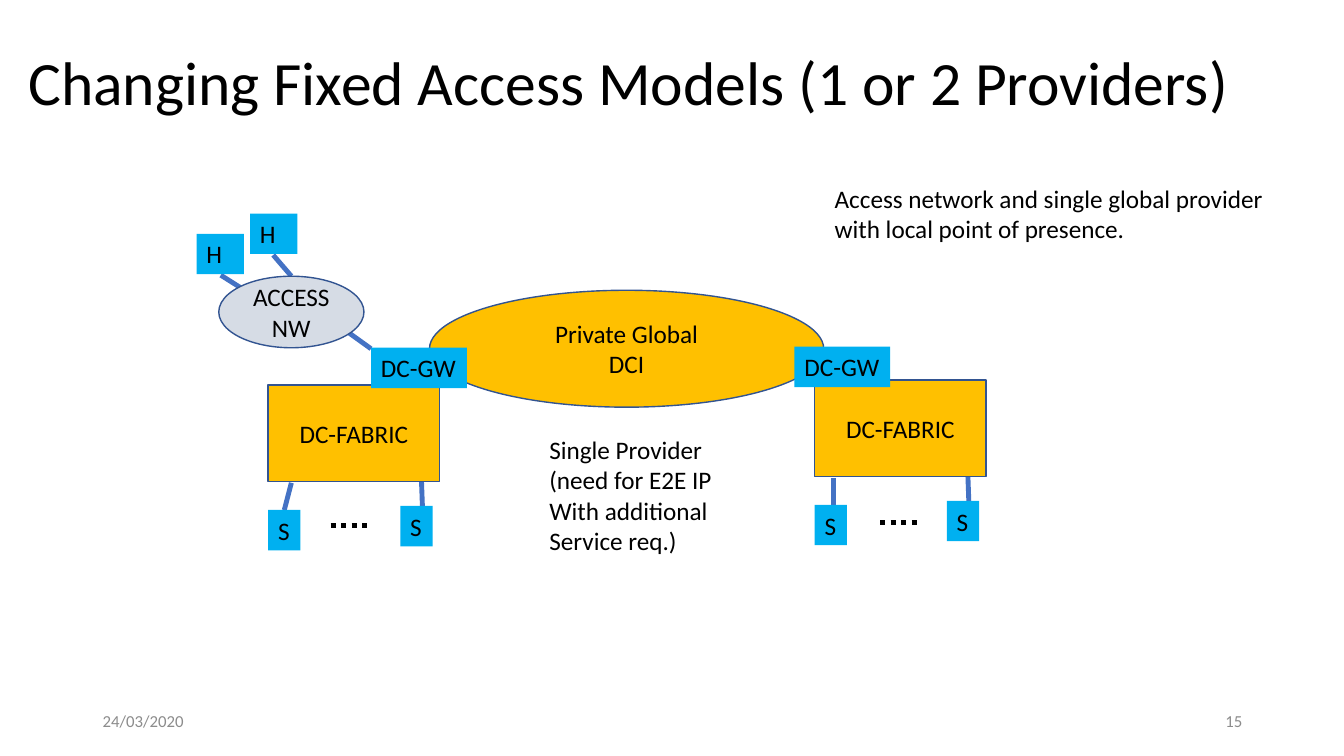
"""Build the slide on fixed access models with one or two providers."""
from dataclasses import dataclass

import lxml.etree
import pptx
import pptx.dml.color
import pptx.enum.dml
import pptx.enum.shapes
import pptx.enum.text
import pptx.oxml.ns
import pptx.util

Inches = pptx.util.Inches
RECTANGLE = pptx.enum.shapes.MSO_SHAPE.RECTANGLE
OVAL = pptx.enum.shapes.MSO_SHAPE.OVAL
LEFT = pptx.enum.text.PP_ALIGN.LEFT
CENTER = pptx.enum.text.PP_ALIGN.CENTER
RIGHT = pptx.enum.text.PP_ALIGN.RIGHT
TOP = pptx.enum.text.MSO_ANCHOR.TOP
MIDDLE = pptx.enum.text.MSO_ANCHOR.MIDDLE


@dataclass(frozen=True)
class Theme:
    font: str = "Calibri"
    ink: str = "000000"
    muted: str = "8C8C8C"
    link: str = "4472C4"
    outline: str = "325491"
    provider: str = "FFC000"
    endpoint: str = "00B0F0"
    access: str = "D6DCE5"
    title_size: float = 44
    body_size: float = 18
    footer_size: float = 12
    outline_width: float = 1
    link_width: float = 3.5
    dots_width: float = 3.75


@dataclass(frozen=True)
class Network:
    label: str
    box: tuple[float, float, float, float]
    fill: str
    geometry: pptx.enum.shapes.MSO_SHAPE = OVAL


@dataclass(frozen=True)
class Endpoint:
    label: str
    left: float
    top: float
    width: float
    wrap: bool = False


@dataclass(frozen=True)
class Link:
    start: tuple[float, float]
    end: tuple[float, float]


@dataclass(frozen=True)
class Note:
    text: str
    box: tuple[float, float, float, float]
    align: pptx.enum.text.PP_ALIGN = LEFT
    footer: bool = False


@dataclass(frozen=True)
class Site:
    left: float
    top: float
    gateway: tuple[float, float]
    server_links: tuple[Link, Link]
    dots: Link


THEME = Theme()
FABRIC_WIDTH, FABRIC_HEIGHT = 1.7, 0.96
ENDPOINT_HEIGHT = 0.4
SERVER_OFFSETS = ((0, 1.24), (1.31, 1.2))

SITES = (
    Site(2.66, 3.82, (3.68, 3.45),
         (Link((2.82, 5.06), (2.89, 4.79)), Link((4.19, 5.03), (4.18, 4.76))),
         Link((3.28, 5.21), (3.68, 5.21))),
    Site(8.08, 3.77, (7.88, 3.44),
         (Link((8.27, 5.01), (8.27, 4.74)), Link((9.61, 5), (9.6, 4.73))),
         Link((8.73, 5.18), (9.14, 5.18))),
)
ACCESS_LINKS = (
    Link((3.43, 3.28), (3.68, 3.46)),
    Link((2.19, 2.73), (2.38, 2.85)),
    Link((2.89, 2.74), (2.71, 2.53)),
)
NETWORKS = (
    Network("Private Global\nDCI", (4.26, 2.88, 3.91, 1.16), THEME.provider),
    Network("ACCESS NW", (2.17, 2.74, 1.44, 0.71), THEME.access),
)
HOMES = (Endpoint("H", 1.95, 2.32, 0.47, True), Endpoint("H", 2.48, 2.12, 0.47, True))
NOTES = (
    Note("Single Provider\n(need for E2E IP\nWith additional\nService req.)",
         (5.35, 4.26, 2.02, 1.31)),
    Note("Access network and single global provider with local point of presence.",
         (8.18, 1.77, 4.59, 0.71)),
    Note("24/03/2020", (0.92, 6.95, 3, 0.4), footer=True),
    Note("15", (9.42, 6.95, 3, 0.4), RIGHT, True),
)


def rgb(value: str) -> pptx.dml.color.RGBColor:
    """Turn a hex value into a colour."""
    return pptx.dml.color.RGBColor.from_string(value)


def write(target, text: str, align=LEFT, anchor=TOP, wrap: bool = True,
          size: float = THEME.body_size, color: str = THEME.ink) -> None:
    """Set and format the text of a shape."""
    frame = target.text_frame
    frame.text = text
    frame.auto_size = pptx.enum.text.MSO_AUTO_SIZE.NONE
    frame.word_wrap = wrap
    frame.vertical_anchor = anchor
    for paragraph in frame.paragraphs:
        paragraph.alignment = align
        for run in paragraph.runs:
            run.font.name = THEME.font
            run.font.size = pptx.util.Pt(size)
            run.font.color.rgb = rgb(color)


def draw_link(slide, link: Link, color: str = THEME.link,
              width: float = THEME.link_width, dotted: bool = False) -> None:
    """Draw a straight link or a dotted continuation."""
    connector = slide.shapes.add_connector(
        pptx.enum.shapes.MSO_CONNECTOR.STRAIGHT,
        *(Inches(value) for value in link.start + link.end))
    connector.line.color.rgb = rgb(color)
    connector.line.width = pptx.util.Pt(width)
    if dotted:
        connector.line.dash_style = pptx.enum.dml.MSO_LINE.ROUND_DOT
    properties = connector.element.find(pptx.oxml.ns.qn("p:spPr"))
    lxml.etree.SubElement(properties, pptx.oxml.ns.qn("a:effectLst"))


def add_block(slide, geometry, box: tuple[float, float, float, float], fill: str):
    """Add a filled shape without shadow."""
    block = slide.shapes.add_shape(geometry, *map(Inches, box))
    block.shadow.inherit = False
    block.fill.solid()
    block.fill.fore_color.rgb = rgb(fill)
    return block


def draw_network(slide, network: Network) -> None:
    """Draw an outlined network with a centred label."""
    block = add_block(slide, network.geometry, network.box, network.fill)
    block.line.color.rgb = rgb(THEME.outline)
    block.line.width = pptx.util.Pt(THEME.outline_width)
    write(block, network.label, CENTER, MIDDLE)


def draw_endpoint(slide, endpoint: Endpoint) -> None:
    """Draw a small box for a home, server or gateway."""
    box = (endpoint.left, endpoint.top, endpoint.width, ENDPOINT_HEIGHT)
    block = add_block(slide, RECTANGLE, box, THEME.endpoint)
    block.line.fill.background()
    write(block, endpoint.label, wrap=endpoint.wrap)


def draw_site(slide, site: Site) -> None:
    """Draw a data centre with its fabric, servers and their links."""
    for link in site.server_links:
        draw_link(slide, link)
    fabric_box = (site.left, site.top, FABRIC_WIDTH, FABRIC_HEIGHT)
    draw_network(slide, Network("DC-FABRIC", fabric_box, THEME.provider, RECTANGLE))
    for across, down in SERVER_OFFSETS:
        draw_endpoint(slide, Endpoint("S", site.left + across, site.top + down, 0.32))
    draw_link(slide, site.dots, THEME.ink, THEME.dots_width, True)


def draw_note(slide, note: Note) -> None:
    """Draw a free text or a footer text."""
    caption = slide.shapes.add_textbox(*map(Inches, note.box))
    if note.footer:
        write(caption, note.text, note.align, MIDDLE,
              size=THEME.footer_size, color=THEME.muted)
    else:
        write(caption, note.text, note.align)


def main() -> None:
    """Build and save the presentation."""
    deck = pptx.Presentation()
    deck.slide_width, deck.slide_height = Inches(13.33), Inches(7.5)
    slide = deck.slides.add_slide(deck.slide_layouts[5])
    title = slide.shapes.title
    title.left, title.top, title.width, title.height = map(Inches, (0.18, 0.12, 12.58, 1.45))
    write(title, "Changing Fixed Access Models (1 or 2 Providers)",
          anchor=MIDDLE, size=THEME.title_size)
    title.text_frame.paragraphs[0].line_spacing = 0.9
    for link in ACCESS_LINKS:
        draw_link(slide, link)
    for site in SITES:
        draw_site(slide, site)
    for network in NETWORKS:
        draw_network(slide, network)
    for endpoint in HOMES + tuple(Endpoint("DC-GW", *site.gateway, 0.95) for site in SITES):
        draw_endpoint(slide, endpoint)
    for note in NOTES:
        draw_note(slide, note)
    deck.save("out.pptx")


main()
